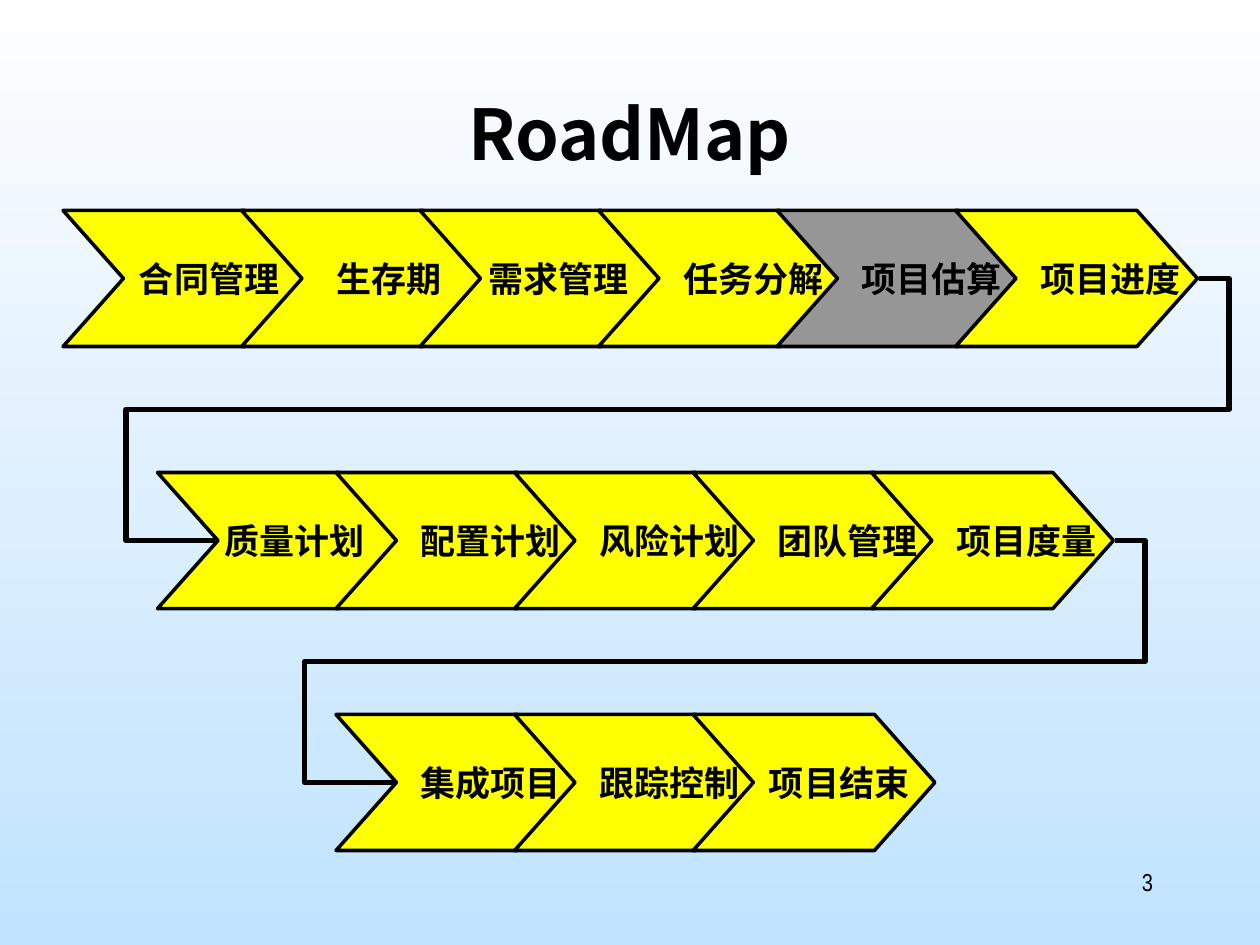
"""Build the RoadMap slide: three rows of chevrons joined by bent connectors."""
from lxml import etree
from pptx import Presentation
from pptx import util as u
from pptx.dml.color import RGBColor
from pptx.enum import shapes, text
from pptx.oxml.ns import qn

COLORS = {"black": "000000", "step": "FFFF00", "current": "969696",
          "sky_top": "FEFEFE", "sky_bottom": "C0E3FE"}
TITLE = "RoadMap"
PAGE_NUMBER = "3"
CURRENT_STEP = "项目估算"
PITCH, WIDTH, HEIGHT, NOTCH = 17 / 12, 1.92, 1.08, 0.48
TURN = 0.25
ROWS = [
    {"left": 0.5, "top": 1.67, "steps": [
        ("合同管理", 0.2), ("生存期", 0.21), ("需求管理", 0.14),
        ("任务分解", 0.27), (CURRENT_STEP, 0.27), ("项目进度", 0.27)]},
    {"left": 1.25, "top": 3.75, "steps": [
        ("质量计划", 0.13), ("配置计划", 0.27), ("风险计划", 0.27),
        ("团队管理", 0.27), ("项目度量", 0.27)]},
    {"left": 1.25 + PITCH, "top": 5.67, "steps": [
        ("集成项目", 0.27), ("跟踪控制", 0.27), ("项目结束", 0.2)]},
]
STEP_FONT = {"size": u.Pt(20), "name": "Arial Narrow", "bold": True}
TITLE_FONT = {"size": u.Pt(40), "name": "Noto Sans CJK SC", "bold": True}
NUMBER_FONT = {"size": u.Pt(14), "name": "Arial Narrow", "bold": False}


def rgb(name):
    return RGBColor.from_string(COLORS[name])


def write(frame, words, font, alignment, frame_format):
    for name, value in frame_format.items():
        setattr(frame, name, value)
    frame.text = words
    paragraph = frame.paragraphs[0]
    paragraph.alignment = alignment
    run_font = paragraph.runs[0].font
    for name, value in font.items():
        setattr(run_font, name, value)
    run_font.color.rgb = rgb("black")


def outline(shape, points):
    shape.line.color.rgb = rgb("black")
    shape.line.width = u.Pt(points)


def add_step(slide, left, top, label, shift):
    shape = slide.shapes.add_shape(
        shapes.MSO_SHAPE.CHEVRON, *map(u.Inches, (left, top, WIDTH, HEIGHT)))
    shape.adjustments[0] = NOTCH / HEIGHT
    shape.shadow.inherit = False
    shape.fill.solid()
    shape.fill.fore_color.rgb = rgb("current" if label == CURRENT_STEP else "step")
    outline(shape, 2)
    write(shape.text_frame, label, STEP_FONT, text.PP_ALIGN.CENTER, {
        "word_wrap": False, "vertical_anchor": text.MSO_ANCHOR.MIDDLE,
        "margin_left": u.Inches(2 * shift), "margin_right": 0})


def add_return(slide, upper, lower):
    right = upper["left"] + (len(upper["steps"]) - 1) * PITCH + WIDTH
    start, end = right + 0.01, lower["left"] + NOTCH - 0.02
    start_y, end_y = (row["top"] + HEIGHT / 2 for row in (upper, lower))
    connector = slide.shapes.add_connector(
        shapes.MSO_CONNECTOR.ELBOW, *map(u.Inches, (start, start_y, end, end_y)))
    outline(connector, 3)
    properties = connector._element.spPr
    etree.SubElement(properties, qn("a:effectLst"))
    geometry = properties.find(qn("a:prstGeom"))
    geometry.set("prst", "bentConnector5")
    guides = geometry.find(qn("a:avLst"))
    span = start - end
    shares = ((start - right - TURN) / span, 0.5,
              (start - lower["left"] + TURN) / span)
    for number, share in enumerate(shares, 1):
        etree.SubElement(guides, qn("a:gd"), name=f"adj{number}",
                         fmla=f"val {round(share * 100000)}")


def main():
    presentation = Presentation()
    presentation.slide_width, presentation.slide_height = u.Inches(10), u.Inches(7.5)
    slide = presentation.slides.add_slide(presentation.slide_layouts[5])
    background = slide.background.fill
    background.gradient()
    background.gradient_angle = 270
    for stop, name in zip(background.gradient_stops, ("sky_top", "sky_bottom")):
        stop.color.rgb = rgb(name)

    title = slide.shapes.title
    title.left, title.top, title.width, title.height = map(
        u.Inches, (0.75, 0.67, 8.5, 1.25))
    top_anchored = {"word_wrap": True, "vertical_anchor": text.MSO_ANCHOR.TOP}
    write(title.text_frame, TITLE, TITLE_FONT, text.PP_ALIGN.CENTER, top_anchored)

    for row in ROWS:
        for column, (label, shift) in enumerate(row["steps"]):
            add_step(slide, row["left"] + column * PITCH, row["top"], label, shift)
    for upper, lower in zip(ROWS, ROWS[1:]):
        add_return(slide, upper, lower)

    number = slide.shapes.add_textbox(*map(u.Inches, (7.17, 6.83, 2.08, 0.5)))
    write(number.text_frame, PAGE_NUMBER, NUMBER_FONT, text.PP_ALIGN.RIGHT, top_anchored)
    presentation.save("out.pptx")


if __name__ == "__main__":
    main()
